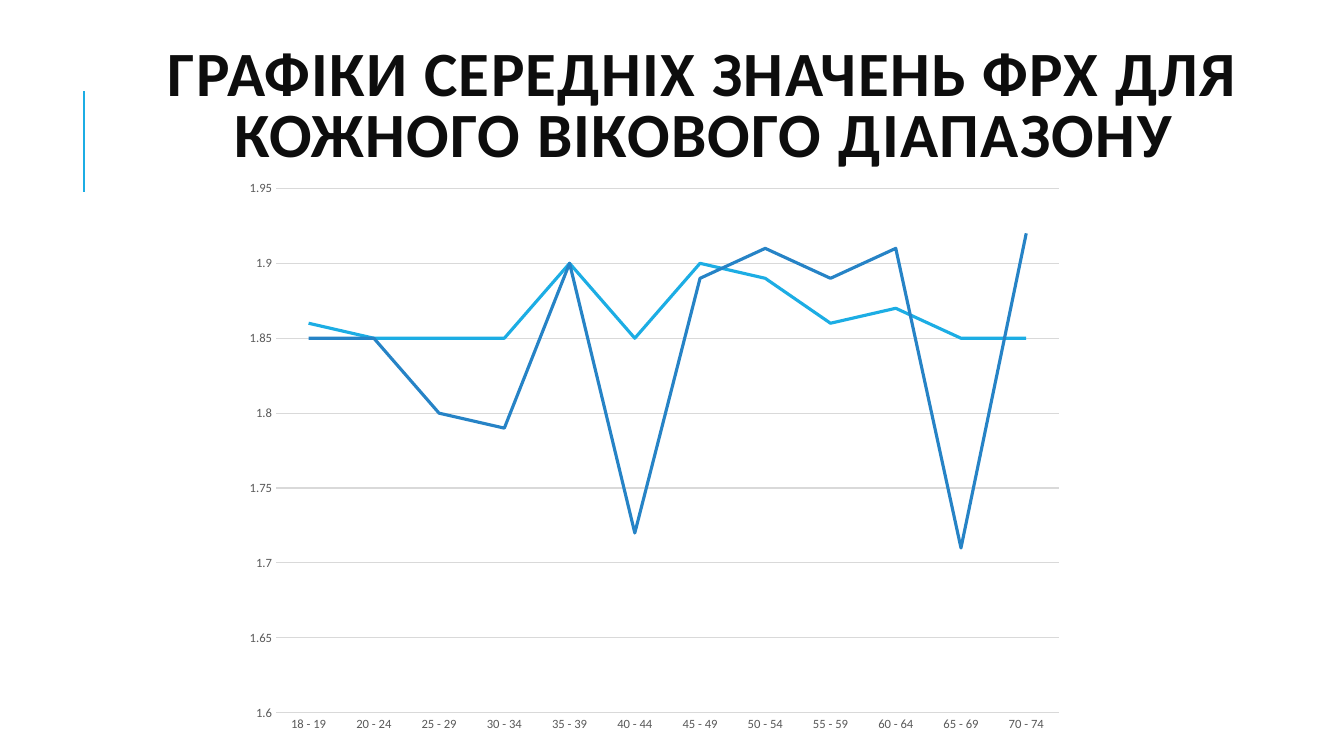
from lxml.etree import SubElement
from pptx import Presentation
from pptx.chart.data import CategoryChartData
from pptx.dml.color import RGBColor
from pptx.enum.chart import XL_CHART_TYPE, XL_LEGEND_POSITION, XL_TICK_MARK
from pptx.enum.shapes import MSO_CONNECTOR
from pptx.enum.text import MSO_ANCHOR, MSO_AUTO_SIZE, PP_ALIGN
from pptx.oxml.ns import qn
from pptx.util import Inches, Pt

FONT = "Calibri"
TITLE = "ГРАФІКИ СЕРЕДНІХ ЗНАЧЕНЬ ФРХ ДЛЯ КОЖНОГО ВІКОВОГО ДІАПАЗОНУ"
AGES = ["18 - 19"] + [f"{age} - {age + 4}" for age in range(20, 75, 5)]
SERIES = {
    "ФРХ 1": ("1CADE4", [1.86, 1.85, 1.85, 1.85, 1.9, 1.85, 1.9, 1.89, 1.86, 1.87, 1.85, 1.85]),
    "ФРХ 2": ("2683C6", [1.85, 1.85, 1.8, 1.79, 1.9, 1.72, 1.89, 1.91, 1.89, 1.91, 1.71, 1.92]),
}
TITLE_BOX = (1.12, 0.26, 11.71, 1.64)
ACCENT_BOX = (0.83, 0.9, 0, 1)
CHART_BOX = (2.32, 1.69, 8.35, 5.98)
PLOT_SHARES = {"x": 0.05, "y": 0.03, "w": 0.93, "h": 0.87}


def color(value):
    """Turn a hex string into a colour."""
    return RGBColor.from_string(value)


def apply(target, values):
    """Set attributes of an object from a dict."""
    for name, value in values.items():
        setattr(target, name, value)


def style_font(font, size, shade, **extra):
    """Give a font its face, size and colour."""
    apply(font, {"name": FONT, "size": Pt(size), **extra})
    font.color.rgb = color(shade)


def style_line(line, shade, width):
    """Give a line its colour and width in points."""
    line.color.rgb = color(shade)
    line.width = Pt(width)


def add_title(page, box):
    """Move the title placeholder into the box and fill it."""
    title = page.shapes.title
    apply(title, dict(zip(("left", "top", "width", "height"), map(Inches, box))))
    frame = title.text_frame
    apply(frame, {"word_wrap": True, "auto_size": MSO_AUTO_SIZE.NONE,
                  "vertical_anchor": MSO_ANCHOR.MIDDLE})
    para = frame.paragraphs[0]
    apply(para, {"alignment": PP_ALIGN.CENTER, "line_spacing": 0.8})
    span = para.add_run()
    span.text = TITLE
    style_font(span.font, 45, "0D0D0D", bold=True)
    span._r.get_or_add_rPr().set("spc", "100")


def add_accent(page, box):
    """Draw the upright accent line along the box."""
    left, top, width, height = box
    accent = page.shapes.add_connector(
        MSO_CONNECTOR.STRAIGHT, *map(Inches, (left, top + height, left + width, top)))
    style_line(accent.line, "1CADE4", 1.5)
    SubElement(accent._element.spPr, qn("a:effectLst"))


def place_plot(chart, shares):
    """Fix the inner plot area as shares of the chart."""
    area = chart._chartSpace.chart.plotArea
    layout = area.find(qn("c:layout"))
    if layout is None:
        layout = SubElement(area, qn("c:layout"))
        area.insert(0, layout)
    manual = SubElement(layout, qn("c:manualLayout"))
    settings = {"layoutTarget": "inner", "xMode": "edge", "yMode": "edge", **shares}
    for name, value in settings.items():
        SubElement(manual, qn(f"c:{name}")).set("val", str(value))


def style_axes(chart):
    """Format both axes and the gridlines."""
    for axis in (chart.category_axis, chart.value_axis):
        apply(axis, {"major_tick_mark": XL_TICK_MARK.NONE, "minor_tick_mark": XL_TICK_MARK.NONE})
        style_font(axis.tick_labels.font, 9, "595959")
    style_line(chart.category_axis.format.line, "D9D9D9", 0.75)
    values = chart.value_axis
    apply(values, {"minimum_scale": 1.6, "maximum_scale": 1.95, "major_unit": 0.05,
                   "has_major_gridlines": True})
    apply(values.tick_labels, {"number_format": "General", "number_format_is_linked": False})
    values.format.line.fill.background()
    style_line(values.major_gridlines.format.line, "D9D9D9", 0.75)


def add_line_chart(page, box):
    """Place the chart of mean values by age in the box."""
    data = CategoryChartData()
    data.categories = AGES
    for name, (_, values) in SERIES.items():
        data.add_series(name, values)
    chart = page.shapes.add_chart(XL_CHART_TYPE.LINE, *map(Inches, box), data).chart
    apply(chart, {"has_title": False, "has_legend": True})
    style_font(chart.font, 10, "000000")
    apply(chart.legend, {"position": XL_LEGEND_POSITION.BOTTOM, "include_in_layout": False})
    style_font(chart.legend.font, 9, "595959")
    chart.plots[0].vary_by_categories = False
    for series, (shade, _) in zip(chart.plots[0].series, SERIES.values()):
        series.smooth = False
        style_line(series.format.line, shade, 2.25)
    style_axes(chart)
    place_plot(chart, PLOT_SHARES)


def main():
    """Build and save the deck."""
    deck = Presentation()
    apply(deck, {"slide_width": Inches(13.33), "slide_height": Inches(7.5)})
    page = deck.slides.add_slide(deck.slide_layouts[5])
    add_accent(page, ACCENT_BOX)
    add_title(page, TITLE_BOX)
    add_line_chart(page, CHART_BOX)
    deck.save("out.pptx")


if __name__ == "__main__":
    main()
